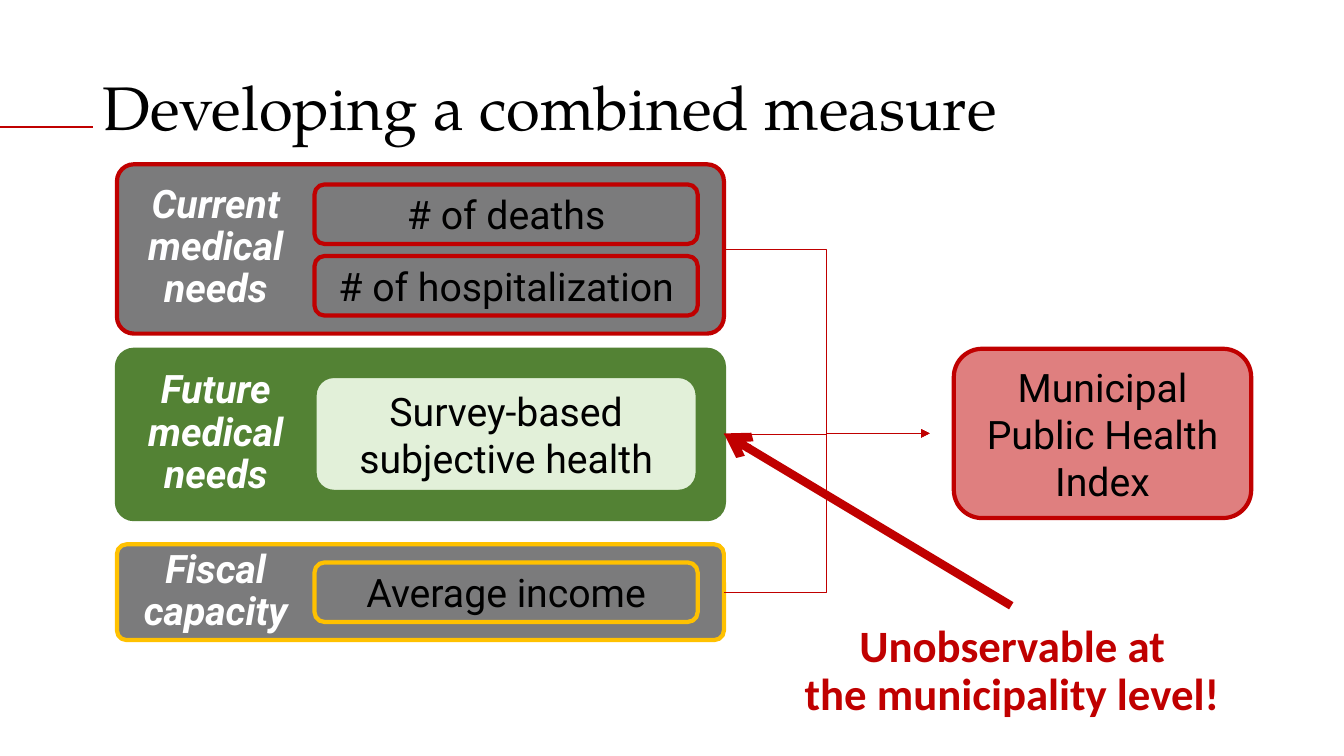
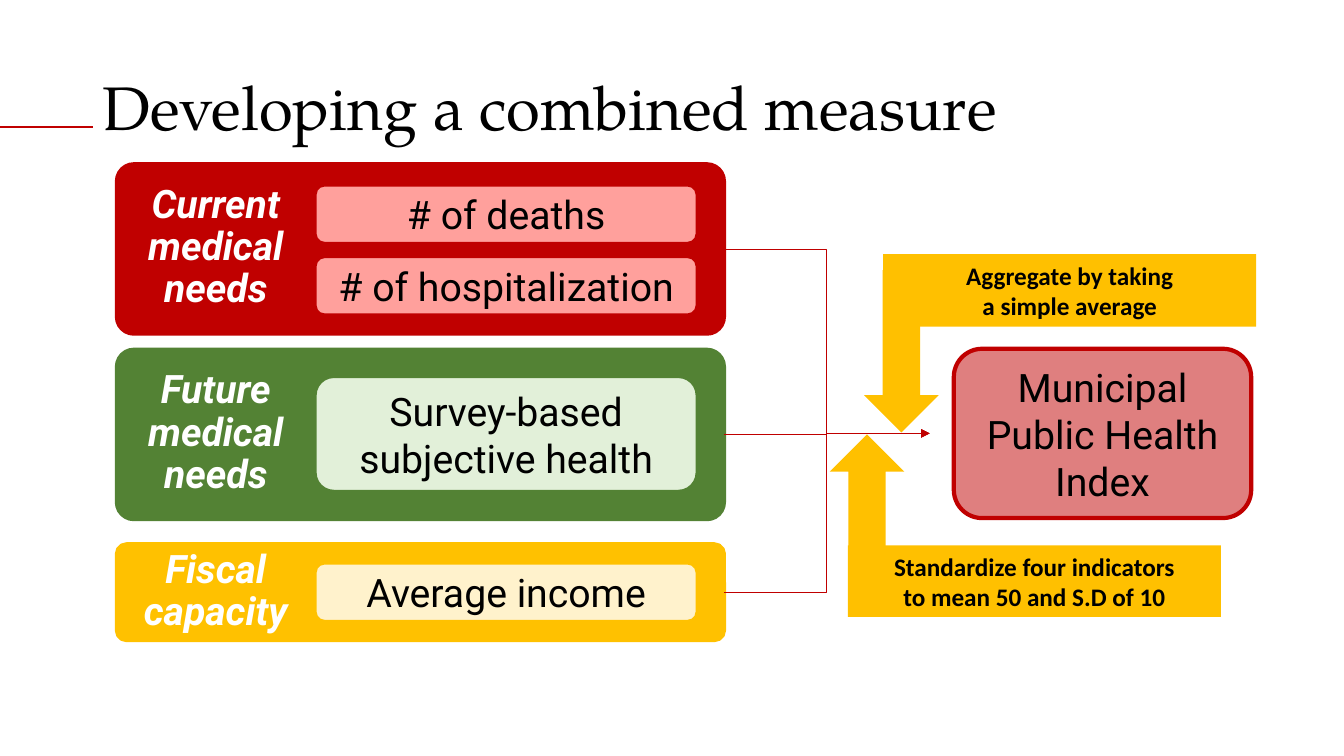
from lxml import etree
from pptx import Presentation
from pptx.dml.color import RGBColor
from pptx.enum.shapes import MSO_CONNECTOR, MSO_SHAPE
from pptx.enum.text import MSO_ANCHOR, PP_ALIGN
from pptx.oxml.ns import qn
from pptx.util import Inches, Pt

ROUNDED = MSO_SHAPE.ROUNDED_RECTANGLE
RECTANGLE = MSO_SHAPE.RECTANGLE
DOWN_ARROW = MSO_SHAPE.DOWN_ARROW
UP_ARROW = MSO_SHAPE.UP_ARROW
STRAIGHT = MSO_CONNECTOR.STRAIGHT
ELBOW = MSO_CONNECTOR.ELBOW
LEFT = PP_ALIGN.LEFT
CENTER = PP_ALIGN.CENTER
TOP = MSO_ANCHOR.TOP
MIDDLE = MSO_ANCHOR.MIDDLE

BLACK = RGBColor(0x00, 0x00, 0x00)
WHITE = RGBColor(0xFF, 0xFF, 0xFF)
RED = RGBColor(0xC0, 0x00, 0x00)
PINK = RGBColor(0xFF, 0xA0, 0x9C)
GREEN = RGBColor(0x53, 0x82, 0x34)
PALE_GREEN = RGBColor(0xE2, 0xF0, 0xD9)
YELLOW = RGBColor(0xFF, 0xC1, 0x00)
PALE_YELLOW = RGBColor(0xFF, 0xF2, 0xCC)
GOLD = RGBColor(0xFF, 0xC0, 0x00)
GRAY = RGBColor(0x7B, 0x7B, 0x7C)

TITLE_FONT = "TeX Gyre Pagella"
DIAGRAM_FONT = "Roboto"
NOTE_FONT = "Calibri"

PANEL_LEFT, PANEL_WIDTH = 1.16, 6.02
PANEL_RIGHT = PANEL_LEFT + PANEL_WIDTH
LABEL_WIDTH = 1.96
INDICATOR_LEFT, INDICATOR_WIDTH = 3.12, 3.8
ARROW_END, ARROW_Y = 9.22, 4.3

# Panel: top, height, label top, label height, label, border colour, light fill,
# and indicators as (top, height, text)
PANELS = [
    (1.63, 1.68, 1.78, 1.37, "Current\nmedical\nneeds", RED, PINK,
     [(1.83, 0.59, "# of deaths"), (2.54, 0.59, "# of hospitalization")]),
    (3.47, 1.68, 3.62, 1.37, "Future\nmedical\nneeds", GREEN, PALE_GREEN,
     [(3.73, 1.15, "Survey-based subjective health")]),
    (5.4, 0.95, 5.4, 0.95, "Fiscal capacity", YELLOW, PALE_YELLOW,
     [(5.58, 0.59, "Average income")]),
]


class DeckBuilder:
    """Holds the deck style and the page being drawn."""

    def __init__(self):
        self.deck = Presentation()
        self.deck.slide_width = Inches(13.33)
        self.deck.slide_height = Inches(7.5)
        self.page = None

    def fill_text(self, frame, text, size, font=DIAGRAM_FONT, color=BLACK, bold=False,
                  italic=False, align=CENTER, anchor=MIDDLE, spacing=1.0):
        frame.text = text
        frame.word_wrap = True
        frame.vertical_anchor = anchor
        for para in frame.paragraphs:
            para.alignment = align
            para.line_spacing = spacing
            for span in para.runs:
                span.font.name = font
                span.font.size = Pt(size)
                span.font.bold = bold
                span.font.italic = italic
                span.font.color.rgb = color

    def new_page(self, title):
        self.page = self.deck.slides.add_slide(self.deck.slide_layouts[5])
        box = self.page.shapes.title
        box.left, box.top = Inches(0.92), Inches(0.4)
        box.width, box.height = Inches(11.5), Inches(1.4)
        self.fill_text(box.text_frame, title, 44, font=TITLE_FONT, align=LEFT,
                       spacing=0.9)
        self.line(STRAIGHT, (0.92, 1.26), (0, 1.26), 1.5)

    def shape(self, kind, left, top, width, height, fill, border=None, corner=None,
              opacity=None):
        shape = self.page.shapes.add_shape(
            kind, Inches(left), Inches(top), Inches(width), Inches(height))
        shape.shadow.inherit = False
        shape.fill.solid()
        shape.fill.fore_color.rgb = fill
        if border is None:
            shape.line.fill.background()
        else:
            shape.line.color.rgb = border
            shape.line.width = Pt(3)
        if corner is not None:
            shape.adjustments[0] = corner
        if opacity is not None:
            color = shape.element.spPr.find(qn("a:solidFill"))[0]
            etree.SubElement(color, qn("a:alpha"), val=str(opacity * 1000))
        return shape

    def text(self, left, top, width, height, text, size, **style):
        box = self.page.shapes.add_textbox(
            Inches(left), Inches(top), Inches(width), Inches(height))
        self.fill_text(box.text_frame, text, size, anchor=TOP, spacing=0.9, **style)

    def line(self, kind, start, end, width, head=None):
        line = self.page.shapes.add_connector(
            kind, *(Inches(value) for value in (*start, *end)))
        line.line.color.rgb = RED
        line.line.width = Pt(width)
        properties = line.element.spPr
        if head:
            etree.SubElement(properties.find(qn("a:ln")), qn("a:tailEnd"), type=head)
        etree.SubElement(properties, qn("a:effectLst"))

    def panel(self, top, height, label_top, label_height, label, border, light,
              indicators, grayed):
        self.shape(ROUNDED, PANEL_LEFT, top, PANEL_WIDTH, height,
                   GRAY if grayed else border, border, corner=0.1)
        self.text(PANEL_LEFT, label_top, LABEL_WIDTH, label_height, label, 28,
                  color=WHITE, bold=True, italic=True)
        for box_top, box_height, text in indicators:
            box = self.shape(ROUNDED, INDICATOR_LEFT, box_top, INDICATOR_WIDTH,
                             box_height, GRAY if grayed else light, border)
            self.fill_text(box.text_frame, text, 28)

    def measure(self, grayed_borders=()):
        """Draws the panels, the index and the lines that join them."""
        self.new_page("Developing a combined measure")
        for panel in PANELS:
            self.panel(*panel, grayed=panel[5] in grayed_borders)
        index = self.shape(ROUNDED, 9.46, 3.46, 2.95, 1.68, RED, RED, opacity=50)
        self.fill_text(index.text_frame, "Municipal\nPublic Health\nIndex", 28)
        for top, height, *_ in PANELS:
            self.line(ELBOW, (PANEL_RIGHT, top + height / 2), (ARROW_END, ARROW_Y),
                      0.5, "triangle")

    def step(self, arrow, arrow_box, note_box, text):
        self.shape(arrow, *arrow_box, GOLD)
        note = self.shape(RECTANGLE, *note_box, GOLD)
        self.fill_text(note.text_frame, text, 18, font=NOTE_FONT, bold=True)


def main():
    builder = DeckBuilder()

    # Only future needs cannot be observed
    builder.measure(grayed_borders=(RED, YELLOW))
    builder.text(7.32, 6.14, 5.44, 1.07, "Unobservable at\nthe municipality level!",
                 32, font=NOTE_FONT, color=RED, bold=True)
    builder.line(STRAIGHT, (10.03, 6.01), (PANEL_RIGHT, ARROW_Y), 6, "arrow")

    # Steps from indicators to index
    builder.measure()
    builder.step(DOWN_ARROW, (8.57, 2.68, 0.74, 1.61), (8.76, 2.52, 3.7, 0.72),
                 "Aggregate by taking\na simple average")
    builder.step(UP_ARROW, (8.23, 4.31, 0.74, 1.67), (8.41, 5.41, 3.7, 0.71),
                 "Standardize four indicators\nto mean 50 and S.D of 10")

    builder.deck.save("out.pptx")


if __name__ == "__main__":
    main()
